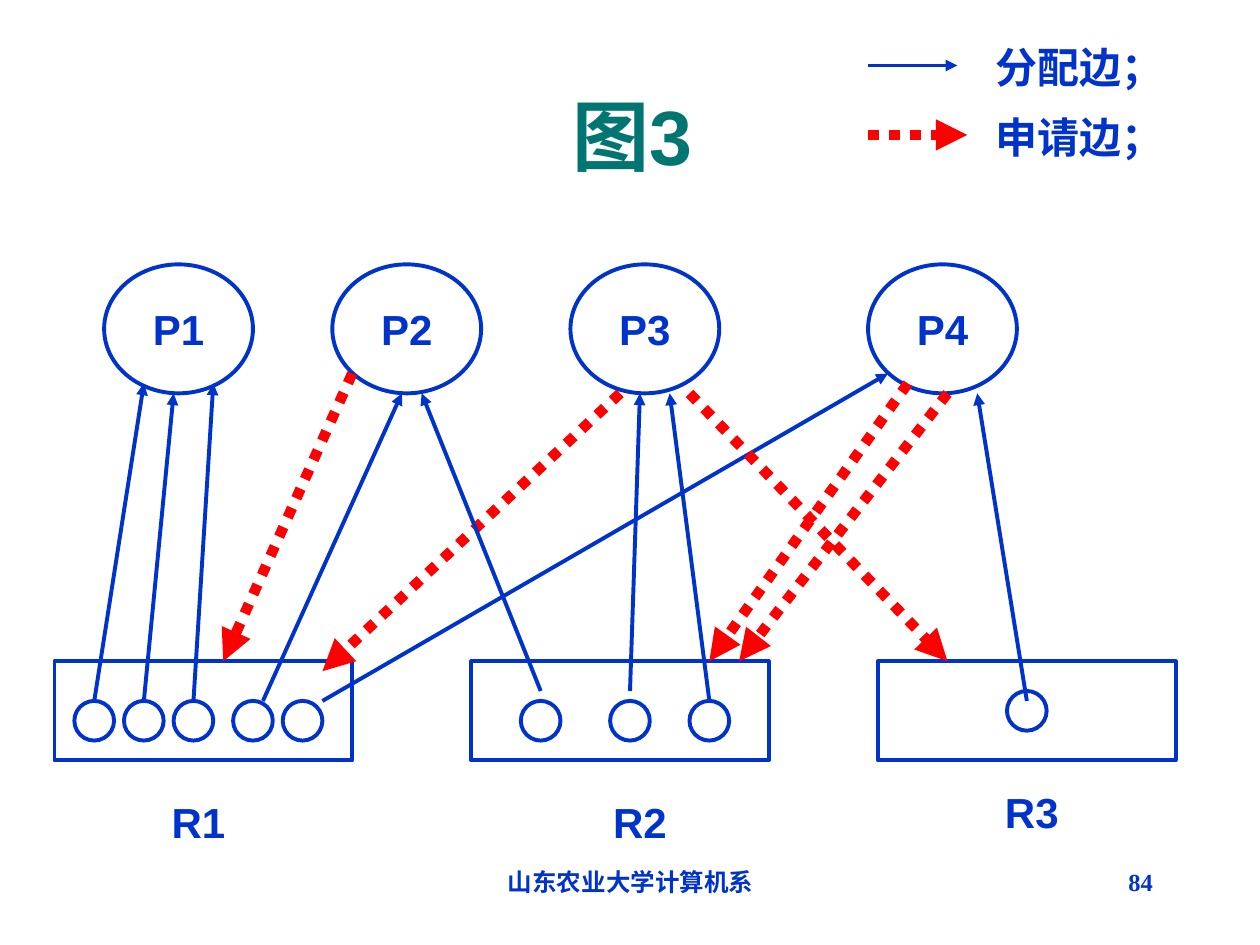
from dataclasses import dataclass

from lxml.etree import SubElement
from pptx import Presentation
from pptx.dml.color import RGBColor
from pptx.enum.dml import MSO_LINE
from pptx.enum.shapes import MSO_CONNECTOR, MSO_SHAPE
from pptx.enum.text import MSO_ANCHOR, PP_ALIGN
from pptx.oxml.ns import qn
from pptx.shapes.autoshape import Shape
from pptx.slide import Slide
from pptx.util import Cm, Pt


@dataclass(frozen=True)
class Theme:
    blue: RGBColor = RGBColor(0x00, 0x33, 0xCC)
    red: RGBColor = RGBColor(0xFF, 0x00, 0x00)
    teal: RGBColor = RGBColor(0x00, 0x75, 0x72)
    font: str = "Arial"
    footer_font: str = "Times New Roman"
    title_size: int = 44
    label_size: int = 24
    footer_size: int = 14
    thin: float = 2.25
    thick: float = 6


THEME = Theme()


# All positions and lengths below are in centimetres
@dataclass(frozen=True)
class Box:
    left: float
    top: float
    width: float
    height: float


@dataclass(frozen=True)
class Resource:
    name: str
    left: float
    label: Box
    unit_top: float
    unit_lefts: tuple[float, ...]


@dataclass(frozen=True)
class Edge:
    start: tuple[float, float]
    end: tuple[float, float]
    is_request: bool = False


PROCESS_TOP, PROCESS_WIDTH, PROCESS_HEIGHT = 5.33, 3, 2.6
RESOURCE_TOP, RESOURCE_WIDTH, RESOURCE_HEIGHT = 13.33, 6, 2
UNIT_SIZE = 0.8
LINE_HEIGHT = 1.27
LABEL_TOP = 15.93
UNIT_TOP = 14.13
UNIT_ABOVE = UNIT_TOP - 0.2
PROCESS_BASE = 7.93
PROCESS_SIDE = PROCESS_BASE - 0.2
PROCESS_FLANK = PROCESS_BASE - 0.4

PROCESSES = {"P1": 2.1, "P2": 6.7, "P3": 11.5, "P4": 17.5}

RESOURCES = [
    Resource("R1", 1.1, Box(2.5, LABEL_TOP, 3, LINE_HEIGHT), UNIT_TOP,
             (1.5, 2.5, 3.5, 4.7, 5.7)),
    Resource("R2", 9.5, Box(11.1, LABEL_TOP, 3.6, LINE_HEIGHT), UNIT_TOP,
             (10.5, 12.3, 13.9)),
    Resource("R3", 17.7, Box(19.3, LABEL_TOP - 0.2, 3, LINE_HEIGHT), UNIT_ABOVE,
             (20.3,)),
]

EDGES = [
    Edge((1.9, UNIT_TOP), (2.9, PROCESS_SIDE)),
    Edge((2.9, UNIT_TOP), (3.5, PROCESS_BASE)),
    Edge((3.9, UNIT_TOP), (4.3, PROCESS_SIDE)),
    Edge((5.3, UNIT_TOP), (8.1, PROCESS_BASE)),
    Edge((12.7, UNIT_ABOVE), (12.9, PROCESS_BASE)),
    Edge((14.3, UNIT_TOP), (13.5, PROCESS_BASE)),
    Edge((20.7, UNIT_TOP), (19.7, PROCESS_BASE)),
    Edge((7.1, PROCESS_FLANK), (4.5, RESOURCE_TOP), is_request=True),
    Edge((6.5, UNIT_TOP), (17.9, PROCESS_FLANK)),
    Edge((12.5, PROCESS_BASE), (6.5, RESOURCE_TOP + 0.2), is_request=True),
    Edge((18.3, PROCESS_SIDE), (14.3, RESOURCE_TOP), is_request=True),
    Edge((19.1, PROCESS_BASE), (14.9, RESOURCE_TOP), is_request=True),
    Edge((10.9, UNIT_ABOVE), (8.5, PROCESS_BASE)),
    Edge((13.9, PROCESS_BASE), (19.1, RESOURCE_TOP), is_request=True),
]

LEGEND = [
    ("分配边；", 0.71, Edge((17.5, 1.32), (19.3, 1.32))),
    ("申请边；", 2.13, Edge((17.5, 2.72), (19.5, 2.72), is_request=True)),
]


def write(holder: Shape, text: str, size: int = THEME.label_size,
          color: RGBColor = THEME.blue, font: str = THEME.font,
          align: PP_ALIGN = PP_ALIGN.CENTER) -> None:
    paragraph = holder.text_frame.paragraphs[0]
    paragraph.text = text
    paragraph.alignment = align
    paragraph.font.name = font
    paragraph.font.size = Pt(size)
    paragraph.font.bold = True
    paragraph.font.color.rgb = color


def add_text(slide: Slide, box: Box, text: str, **style) -> Shape:
    holder = slide.shapes.add_textbox(
        Cm(box.left), Cm(box.top), Cm(box.width), Cm(box.height))
    holder.text_frame.word_wrap = True
    write(holder, text, **style)
    return holder


def add_outline(slide: Slide, preset: MSO_SHAPE, box: Box) -> Shape:
    outline = slide.shapes.add_shape(
        preset, Cm(box.left), Cm(box.top), Cm(box.width), Cm(box.height))
    outline.shadow.inherit = False
    outline.fill.background()
    outline.line.color.rgb = THEME.blue
    outline.line.width = Pt(THEME.thin)
    return outline


def add_process(slide: Slide, name: str, left: float) -> None:
    process = add_outline(slide, MSO_SHAPE.FLOWCHART_CONNECTOR,
                          Box(left, PROCESS_TOP, PROCESS_WIDTH, PROCESS_HEIGHT))
    process.text_frame.word_wrap = False
    process.text_frame.vertical_anchor = MSO_ANCHOR.MIDDLE
    write(process, name)


def add_resource(slide: Slide, resource: Resource) -> None:
    add_outline(slide, MSO_SHAPE.RECTANGLE,
                Box(resource.left, RESOURCE_TOP, RESOURCE_WIDTH, RESOURCE_HEIGHT))
    for left in resource.unit_lefts:
        add_outline(slide, MSO_SHAPE.OVAL,
                    Box(left, resource.unit_top, UNIT_SIZE, UNIT_SIZE))
    add_text(slide, resource.label, resource.name)


def add_edge(slide: Slide, edge: Edge) -> None:
    arrow = slide.shapes.add_connector(
        MSO_CONNECTOR.STRAIGHT, *map(Cm, edge.start + edge.end))
    arrow.line.color.rgb = THEME.red if edge.is_request else THEME.blue
    arrow.line.width = Pt(THEME.thick if edge.is_request else THEME.thin)
    if edge.is_request:
        arrow.line.dash_style = MSO_LINE.ROUND_DOT  # stored as sysDot
    properties = arrow._element.spPr
    SubElement(properties.find(qn("a:ln")), qn("a:tailEnd"), type="triangle")
    SubElement(properties, qn("a:effectLst"))


def main() -> None:
    deck = Presentation()
    deck.slide_width, deck.slide_height = Cm(25.4), Cm(19.05)
    slide = deck.slides.add_slide(deck.slide_layouts[6])

    # Footer and title
    footer = {"size": THEME.footer_size, "font": THEME.footer_font}
    add_text(slide, Box(8.69, 17.35, 8.05, LINE_HEIGHT), "山东农业大学计算机系", **footer)
    add_text(slide, Box(18.21, 17.35, 5.28, LINE_HEIGHT), "84",
             align=PP_ALIGN.RIGHT, **footer)
    title = add_text(slide, Box(0.89, 1.12, 23.72, 3.18), "图3",
                     size=THEME.title_size, color=THEME.teal)
    title.text_frame.vertical_anchor = MSO_ANCHOR.MIDDLE

    # Resource allocation graph
    for name, left in PROCESSES.items():
        add_process(slide, name, left)
    for resource in RESOURCES:
        add_resource(slide, resource)
    for edge in EDGES:
        add_edge(slide, edge)

    # Legend
    for meaning, top, sample in LEGEND:
        add_text(slide, Box(19.5, top, 4.2, LINE_HEIGHT), meaning,
                 align=PP_ALIGN.RIGHT)
        add_edge(slide, sample)

    deck.save("out.pptx")


if __name__ == "__main__":
    main()
